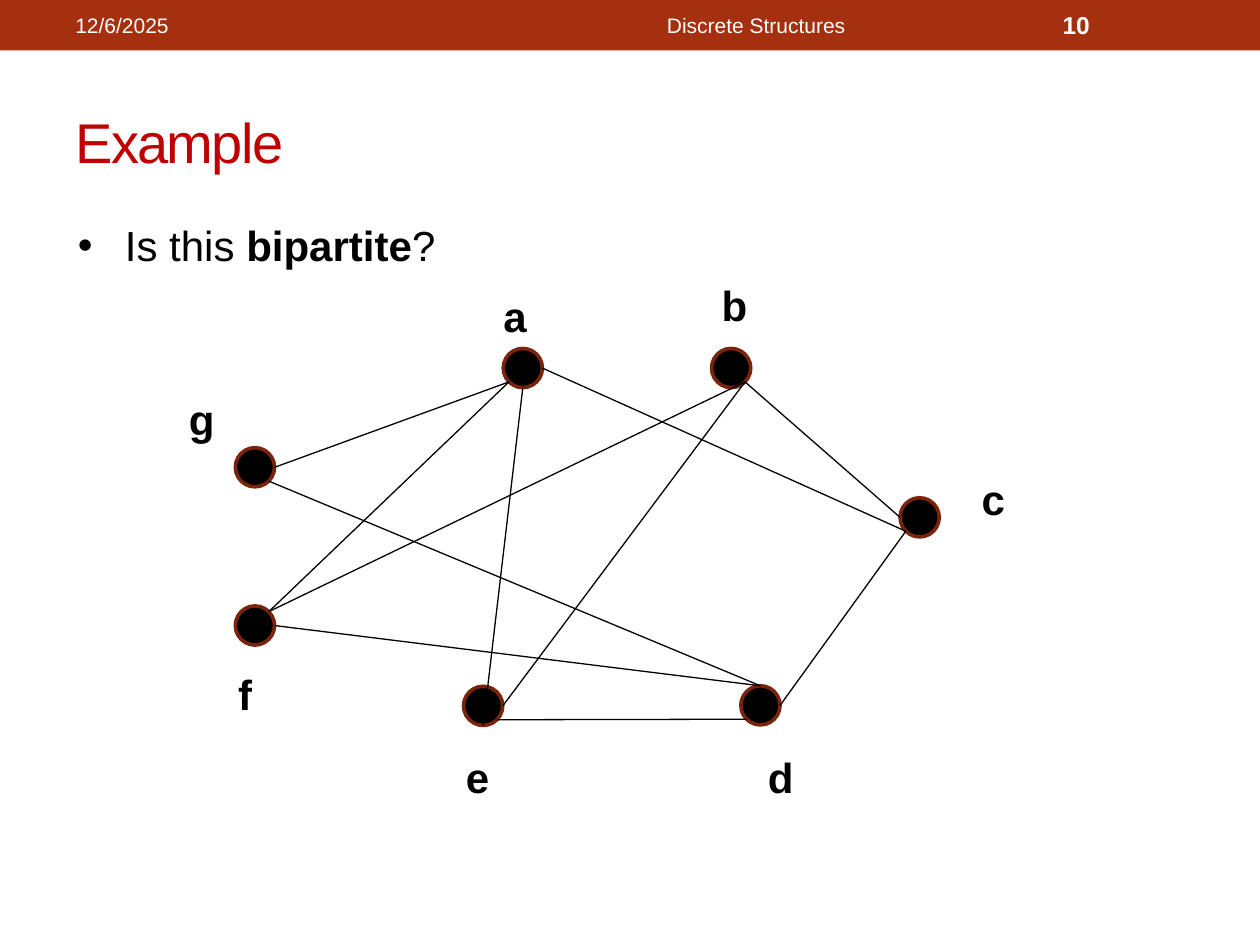
from enum import Enum
from math import cos, radians, sin
from typing import NamedTuple

from lxml.etree import SubElement
from pptx import Presentation
from pptx.dml.color import RGBColor
from pptx.enum.shapes import MSO_CONNECTOR, MSO_SHAPE
from pptx.enum.text import MSO_ANCHOR, MSO_AUTO_SIZE, PP_ALIGN
from pptx.oxml.ns import qn
from pptx.util import Cm, Pt

BLACK = RGBColor(0x00, 0x00, 0x00)
WHITE = RGBColor(0xFF, 0xFF, 0xFF)
RED = RGBColor(0xC0, 0x00, 0x00)
RUST = RGBColor(0xA5, 0x30, 0x0F)
DARK_RUST = RGBColor(0x7A, 0x24, 0x0B)
FONT = "Arial"
DIAMETER = 0.79


class Side(Enum):
    """Points on a vertex circle, as clockwise angles from the right."""
    RIGHT = 0
    BOTTOM_RIGHT = 45
    BOTTOM = 90
    BOTTOM_LEFT = 135
    LEFT = 180
    TOP = 270
    TOP_RIGHT = 315


class Vertex(NamedTuple):
    x: float
    y: float
    label_x: float
    label_y: float
    label_width: float

    def point(self, side: Side) -> tuple:
        angle = radians(side.value)
        radius = DIAMETER / 2
        return Cm(self.x + radius * cos(angle)), Cm(self.y + radius * sin(angle))


class Edge(NamedTuple):
    start: str
    start_side: Side
    end: str
    end_side: Side


VERTICES = {
    "a": Vertex(10.54, 7.42, 9.9, 5.74, 0.99),
    "b": Vertex(14.74, 7.42, 14.3, 5.51, 1.04),
    "c": Vertex(18.54, 10.43, 19.54, 9.42, 0.99),
    "d": Vertex(15.33, 14.22, 15.23, 15.03, 1.04),
    "e": Vertex(9.74, 14.23, 9.14, 15.03, 0.99),
    "f": Vertex(5.14, 12.61, 4.55, 13.35, 0.79),
    "g": Vertex(5.14, 9.42, 3.56, 7.81, 1.04),
}
EDGES = [
    Edge("g", Side.RIGHT, "a", Side.BOTTOM_LEFT),
    Edge("a", Side.RIGHT, "c", Side.BOTTOM_LEFT),
    Edge("b", Side.BOTTOM_RIGHT, "c", Side.LEFT),
    Edge("c", Side.BOTTOM_LEFT, "d", Side.RIGHT),
    Edge("e", Side.BOTTOM_RIGHT, "d", Side.BOTTOM_LEFT),
    Edge("f", Side.RIGHT, "d", Side.TOP),
    Edge("f", Side.TOP_RIGHT, "b", Side.BOTTOM_RIGHT),
    Edge("g", Side.BOTTOM_RIGHT, "d", Side.TOP),
    Edge("a", Side.BOTTOM, "e", Side.BOTTOM),
    Edge("a", Side.BOTTOM_LEFT, "f", Side.TOP_RIGHT),
    Edge("b", Side.BOTTOM_RIGHT, "e", Side.RIGHT),
]


def add_span(para, text: str, *, size=24, color=BLACK, bold=False):
    span = para.add_run()
    span.text = text
    span.font.name = FONT
    span.font.size = Pt(size)
    span.font.bold = bold
    span.font.color.rgb = color
    return span


def add_text(page, text: str, left, top, width, height, *, align=PP_ALIGN.LEFT,
             anchor=MSO_ANCHOR.TOP, wrap=True, **style):
    box = page.shapes.add_textbox(Cm(left), Cm(top), Cm(width), Cm(height))
    frame = box.text_frame
    frame.word_wrap = wrap
    frame.vertical_anchor = anchor
    para = frame.paragraphs[0]
    para.alignment = align
    add_span(para, text, **style)
    return para


def add_header(page) -> None:
    bar = page.shapes.add_shape(MSO_SHAPE.RECTANGLE, 0, 0, Cm(25.4), Cm(1.02))
    bar.shadow.inherit = False
    bar.fill.solid()
    bar.fill.fore_color.rgb = RUST
    bar.line.fill.background()
    style = {"anchor": MSO_ANCHOR.MIDDLE, "color": WHITE}
    add_text(page, "12/6/2025", 1.27, 0.05, 8.05, 0.91, size=12, **style)
    add_text(page, "Discrete Structures", 9.53, 0.05, 11.43, 0.91, size=12,
             align=PP_ALIGN.CENTER, **style)
    add_text(page, "10", 21.17, 0.05, 2.96, 0.91, size=14, bold=True, **style)


def add_title(page, text: str) -> None:
    title = page.shapes.title
    title.left, title.top, title.width, title.height = Cm(1.27), Cm(1.48), Cm(22.86), Cm(2.75)
    frame = title.text_frame
    frame.auto_size = MSO_AUTO_SIZE.NONE
    frame.vertical_anchor = MSO_ANCHOR.MIDDLE
    para = frame.paragraphs[0]
    para.alignment = PP_ALIGN.LEFT
    span = add_span(para, text, size=32, color=RED)
    span.font._element.set("spc", "-100")


def add_question(page) -> None:
    para = add_text(page, "Is this ", 1.32, 4.3, 8.03, 1.27)
    properties = para._p.get_or_add_pPr()
    properties.set("marL", str(Cm(0.95)))
    properties.set("indent", str(Cm(-0.95)))
    SubElement(properties, qn("a:buFont"), typeface=FONT)
    SubElement(properties, qn("a:buChar"), char="•")
    add_span(para, "bipartite", bold=True)
    add_span(para, "?")


def add_vertex(page, name: str, vertex: Vertex) -> None:
    circle = page.shapes.add_shape(
        MSO_SHAPE.OVAL, Cm(vertex.x - DIAMETER / 2), Cm(vertex.y - DIAMETER / 2),
        Cm(DIAMETER), Cm(DIAMETER))
    circle.shadow.inherit = False
    circle.fill.solid()
    circle.fill.fore_color.rgb = BLACK
    circle.line.color.rgb = DARK_RUST
    circle.line.width = Pt(2.08)
    add_text(page, name, vertex.label_x, vertex.label_y, vertex.label_width, 1.28,
             wrap=False, bold=True)


def add_edge(page, edge: Edge) -> None:
    start = VERTICES[edge.start].point(edge.start_side)
    end = VERTICES[edge.end].point(edge.end_side)
    line = page.shapes.add_connector(MSO_CONNECTOR.STRAIGHT, *start, *end)
    line.line.color.rgb = BLACK
    line.line.width = Pt(0.75)
    SubElement(line._element.spPr, qn("a:effectLst"))


def main() -> None:
    deck = Presentation()
    deck.slide_width, deck.slide_height = Cm(25.4), Cm(19.05)
    page = deck.slides.add_slide(deck.slide_layouts[5])
    add_header(page)
    add_title(page, "Example")
    add_question(page)
    for name, vertex in VERTICES.items():
        add_vertex(page, name, vertex)
    for edge in EDGES:
        add_edge(page, edge)
    deck.save("out.pptx")


if __name__ == "__main__":
    main()
